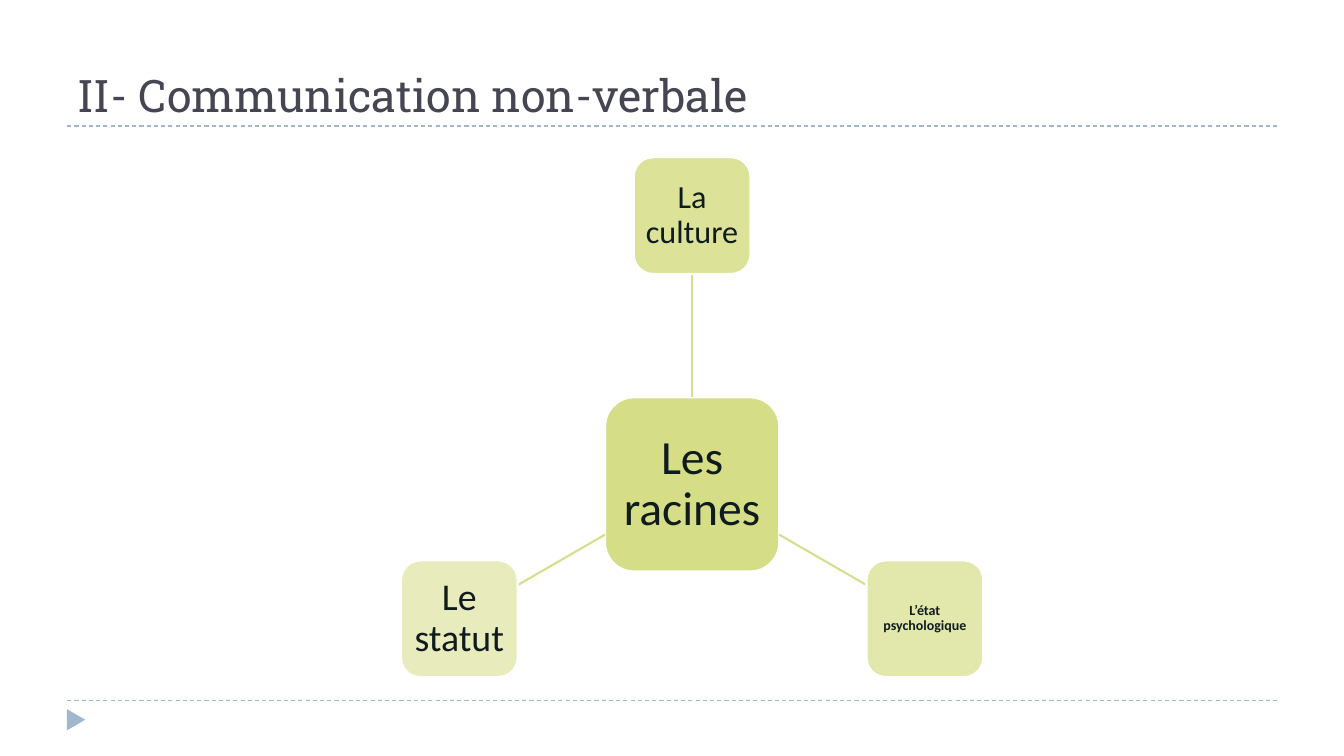
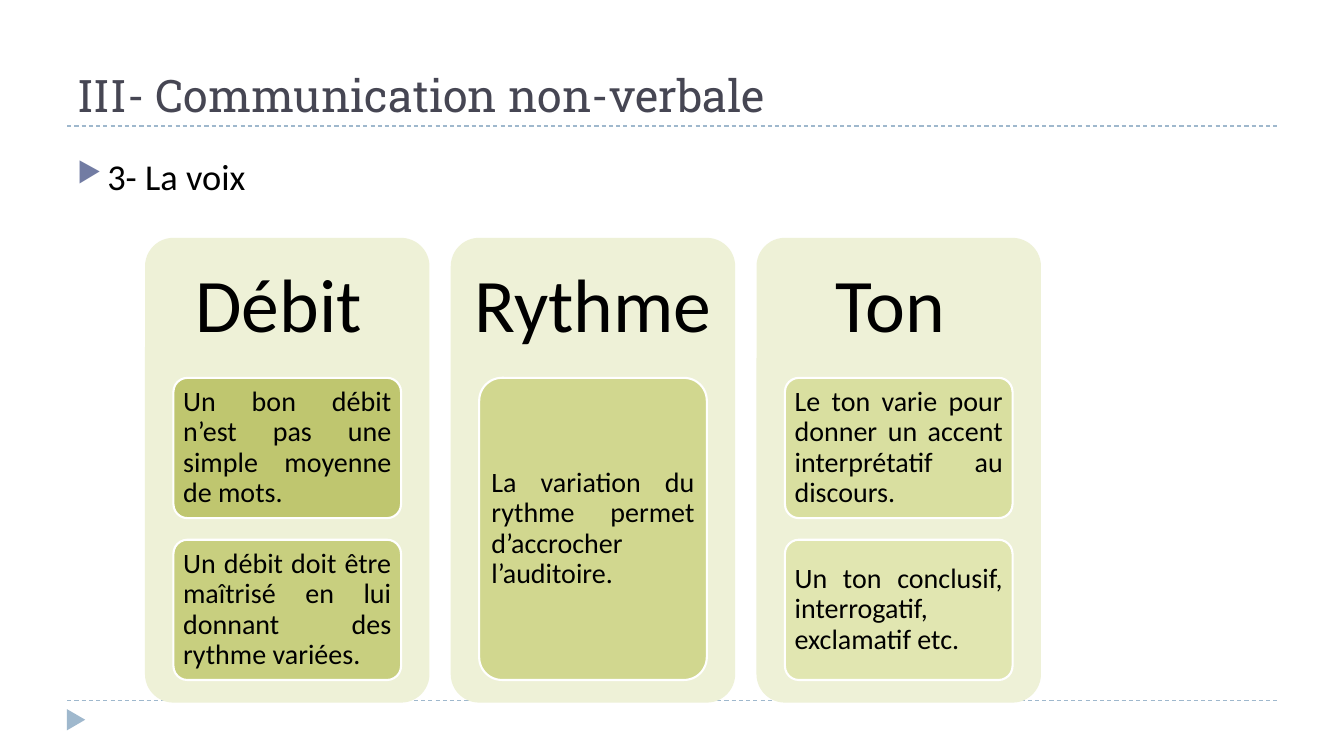
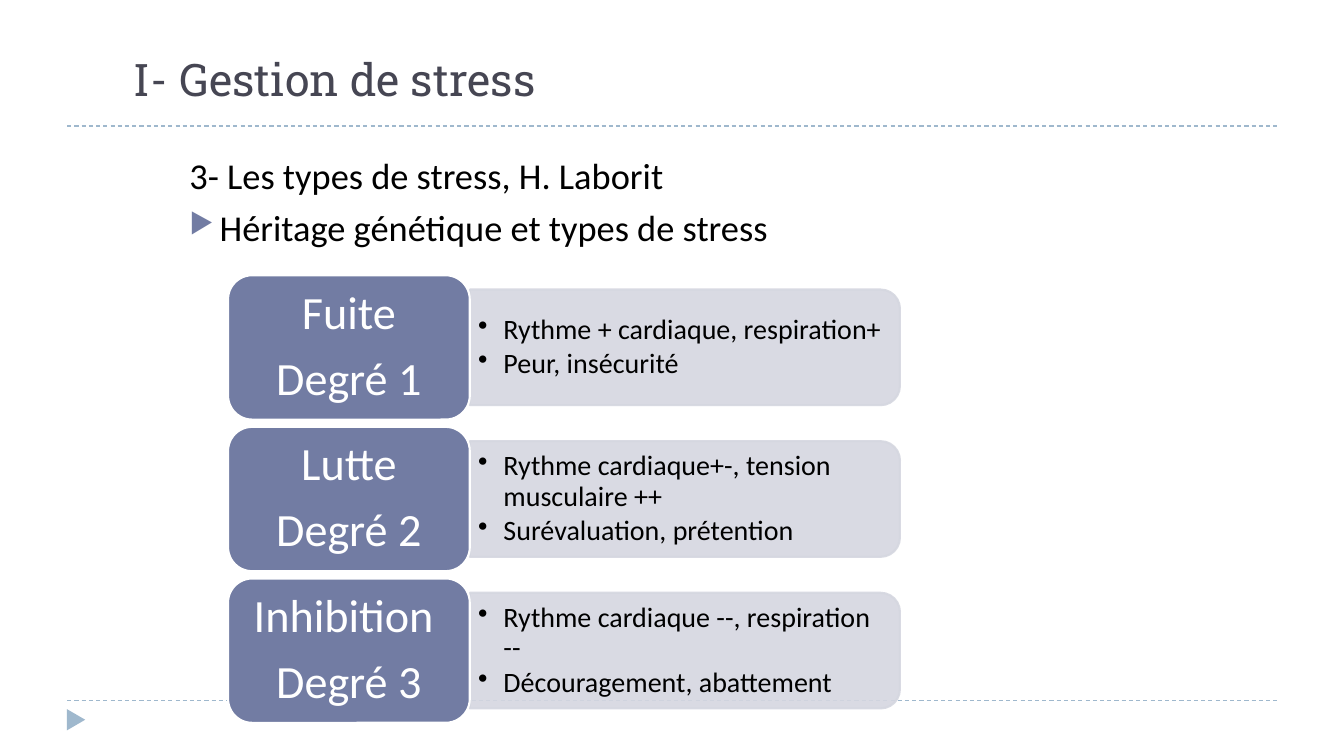
"""Build three slides on non-verbal communication and stress management."""
from dataclasses import dataclass, replace
from math import cos, radians, sin
from typing import NamedTuple, Optional

from lxml import etree
from pptx import Presentation
from pptx.dml.color import RGBColor
from pptx.enum.dml import MSO_LINE
from pptx.enum.shapes import MSO_CONNECTOR, MSO_SHAPE
from pptx.enum.text import MSO_ANCHOR, PP_ALIGN
from pptx.oxml.ns import qn
from pptx.util import Pt

ROUND = MSO_SHAPE.ROUNDED_RECTANGLE
ROUND_TOP = MSO_SHAPE.ROUND_2_SAME_RECTANGLE
TRIANGLE = MSO_SHAPE.ISOSCELES_TRIANGLE
STRAIGHT = MSO_CONNECTOR.STRAIGHT
DASH = MSO_LINE.DASH
TOP, MIDDLE, BOTTOM = MSO_ANCHOR.TOP, MSO_ANCHOR.MIDDLE, MSO_ANCHOR.BOTTOM
LEFT, CENTER, JUSTIFY = PP_ALIGN.LEFT, PP_ALIGN.CENTER, PP_ALIGN.JUSTIFY
TOP_SITE, BOTTOM_SITE = 0, 2


@dataclass(frozen=True)
class Theme:
    title_font: str = "Roboto Slab"
    body_font: str = "Calibri"
    title: str = "464653"
    rule: str = "9FB8CD"
    accent: str = "727CA3"
    detail: str = "D5D7E0"
    node: str = "D2DA7A"
    node_text: str = "101B1D"
    spoke: str = "D7DE8F"
    card: str = "EEF1D7"
    black: str = "000000"
    white: str = "FFFFFF"
    title_size: float = 32
    body_size: float = 26
    header_size: float = 54
    panel_size: float = 20
    tag_size: float = 33
    outline: float = 1.5


THEME = Theme()


class Box(NamedTuple):
    left: float
    top: float
    width: float
    height: float


@dataclass(frozen=True)
class Bullet:
    char: str
    indent: float
    colour: Optional[str] = None
    percent: Optional[int] = None


@dataclass(frozen=True)
class Style:
    size: float
    colour: str = THEME.black
    font: str = THEME.body_font
    align: PP_ALIGN = LEFT
    anchor: MSO_ANCHOR = MIDDLE
    bold: bool = False
    spacing: float = 0.9
    gap: float = 0
    inset_x: float = 7.2
    inset_y: float = 3.6
    bullet: Optional[Bullet] = None


TITLE = Style(THEME.title_size, THEME.title, THEME.title_font, anchor=BOTTOM, spacing=1)
BODY = Style(THEME.body_size, anchor=TOP, spacing=1, gap=6,
             bullet=Bullet("▶", 21.6, THEME.accent, 76))
HEADER = Style(THEME.header_size, align=CENTER, inset_x=16, inset_y=16)
PANEL = Style(THEME.panel_size, align=JUSTIFY, inset_x=4, inset_y=3)
TAG = Style(THEME.tag_size, THEME.white, align=CENTER, gap=11.5, inset_x=10, inset_y=5)
DETAIL = Style(THEME.panel_size, gap=3, inset_x=6, inset_y=3, bullet=Bullet("•", 18))


class Node(NamedTuple):
    text: str
    size: float
    alpha: int
    angle: float = 0
    bold: bool = False


class Panel(NamedTuple):
    text: str
    colour: str


class Card(NamedTuple):
    header: str
    panels: list[Panel]


class Degree(NamedTuple):
    tag: list[str]
    details: list[str]


HUB = Node("Les racines", 34, 90)
NODES = [
    Node("La culture", 23, 77, -90),
    Node("L’état psychologique", 10, 63, 30, True),
    Node("Le statut", 27, 50, 150),
]
CARDS = [
    Card("Débit ", [
        Panel("Un bon débit n’est pas une simple moyenne de mots.", "BFC66F"),
        Panel("Un débit doit être maîtrisé en lui donnant des rythme variées.", "C8CF7F"),
    ]),
    Card("Rythme ", [
        Panel("La variation du rythme permet d’accrocher l’auditoire.", "D1D78F"),
    ]),
    Card("Ton ", [
        Panel("Le ton varie pour donner un accent interprétatif au discours.", "D9DFA0"),
        Panel("Un ton conclusif, interrogatif, exclamatif etc.", "E1E6B1"),
    ]),
]
DEGREES = [
    Degree(["Fuite", "Degré 1"],
           ["Rythme + cardiaque, respiration+", "Peur, insécurité"]),
    Degree(["Lutte", "Degré 2"],
           ["Rythme cardiaque+-, tension musculaire ++", "Surévaluation, prétention"]),
    Degree(["Inhibition ", "Degré 3"],
           ["Rythme cardiaque --, respiration --", "Découragement, abattement"]),
]


def rgb(colour: str) -> RGBColor:
    return RGBColor.from_string(colour)


def add_bullet(p, bullet: Bullet) -> None:
    ppr = p._p.get_or_add_pPr()
    ppr.set("marL", str(Pt(bullet.indent)))
    ppr.set("indent", str(-Pt(bullet.indent)))
    if bullet.colour:
        clr = etree.SubElement(ppr, qn("a:buClr"))
        etree.SubElement(clr, qn("a:srgbClr"), val=bullet.colour)
    if bullet.percent:
        etree.SubElement(ppr, qn("a:buSzPct"), val=str(bullet.percent * 1000))
    etree.SubElement(ppr, qn("a:buChar"), char=bullet.char)


def write(sp, lines: list[str], style: Style, first_bullet: int = 0) -> None:
    tf = sp.text_frame
    tf.word_wrap = True
    tf.vertical_anchor = style.anchor
    tf.margin_left = tf.margin_right = Pt(style.inset_x)
    tf.margin_top = tf.margin_bottom = Pt(style.inset_y)
    tf.text = "\n".join(lines)
    for i, p in enumerate(tf.paragraphs):
        if style.bullet and i >= first_bullet:
            add_bullet(p, style.bullet)
        p.alignment = style.align
        p.line_spacing = style.spacing
        if i:
            p.space_before = Pt(style.gap)
        for r in p.runs:
            r.font.name = style.font
            r.font.size = Pt(style.size)
            r.font.bold = style.bold
            r.font.color.rgb = rgb(style.colour)


def add_text(s, box: Box, lines: list[str], style: Style, first_bullet: int = 0) -> None:
    write(s.shapes.add_textbox(*map(Pt, box)), lines, style, first_bullet)


def add_block(s, kind: MSO_SHAPE, box: Box, fill: str, line: Optional[str] = None,
              corner: Optional[float] = None):
    sp = s.shapes.add_shape(kind, *map(Pt, box))
    sp.shadow.inherit = False
    sp.fill.solid()
    sp.fill.fore_color.rgb = rgb(fill)
    if line:
        sp.line.color.rgb = rgb(line)
        sp.line.width = Pt(THEME.outline)
    else:
        sp.line.fill.background()
    if corner is not None:
        sp.adjustments[0] = corner
    return sp


def set_alpha(sp, percent: int, parent: str = "") -> None:
    clr = sp._element.spPr.find(f"{parent}{qn('a:solidFill')}/{qn('a:srgbClr')}")
    etree.SubElement(clr, qn("a:alpha"), val=str(percent * 1000))


def add_line(s, x1: float, y1: float, x2: float, y2: float, colour: str, width: float):
    cxn = s.shapes.add_connector(STRAIGHT, Pt(x1), Pt(y1), Pt(x2), Pt(y2))
    cxn.line.color.rgb = rgb(colour)
    cxn.line.width = Pt(width)
    etree.SubElement(cxn._element.spPr, qn("a:effectLst"))
    return cxn


def add_slide(prs, title: str, title_box: Box = Box(48, 12, 864, 78)):
    s = prs.slides.add_slide(prs.slide_layouts[6])
    for y in (500.4, 90):
        add_line(s, 48, y, 912, y, THEME.rule, 0.75).line.dash_style = DASH
    add_block(s, TRIANGLE, Box(46.8, 507.6, 15.1, 13), THEME.rule).rotation = 90
    add_text(s, title_box, [title], TITLE)
    return s


def add_node(s, node: Node, x: float, y: float, side: float):
    sp = add_block(s, ROUND, Box(x - side / 2, y - side / 2, side, side),
                   THEME.node, THEME.white)
    set_alpha(sp, node.alpha)
    inset = node.size * 0.18
    write(sp, [node.text], Style(node.size, THEME.node_text, align=CENTER, bold=node.bold,
                                 inset_x=inset, inset_y=inset))
    return sp


def build_roots(prs) -> None:
    s = add_slide(prs, "II- Communication non-verbale")
    x, y, radius, hub_side, side = 494.4, 346, 192, 124.4, 83.4
    hub = add_node(s, HUB, x, y, hub_side)
    for node in NODES:
        dx, dy = cos(radians(node.angle)), sin(radians(node.angle))
        reach = max(abs(dx), abs(dy))
        start = hub_side / 2 / reach
        end = radius - side / 2 / reach
        spoke = add_line(s, x + start * dx, y + start * dy, x + end * dx, y + end * dy,
                         THEME.spoke, THEME.outline)
        sp = add_node(s, node, x + radius * dx, y + radius * dy, side)
        if node.angle == -90:
            spoke.begin_connect(hub, TOP_SITE)
            spoke.end_connect(sp, BOTTOM_SITE)


def build_voice(prs) -> None:
    s = add_slide(prs, "III- Communication non-verbale")
    add_text(s, Box(48, 106.6, 792, 275), ["3- La voix"], BODY)
    top, width, header_height, pad = 169.9, 203.2, 99.6, 20.3
    panels_top, panels_height, gap = 269.9, 215.8, 15.4
    for i, card in enumerate(CARDS):
        left = 103.6 + i * 218.4
        add_block(s, ROUND, Box(left, top, width, 332), THEME.card, corner=0.1)
        add_text(s, Box(left, top, width, header_height), [card.header], HEADER)
        count = len(card.panels)
        height = (panels_height - gap * (count - 1)) / count
        for j, panel in enumerate(card.panels):
            box = Box(left + pad, panels_top + j * (height + gap), width - 2 * pad, height)
            sp = add_block(s, ROUND, box, panel.colour, THEME.white, 0.1)
            write(sp, [panel.text], PANEL)


def build_stress(prs) -> None:
    s = add_slide(prs, "I- Gestion de stress", Box(88.6, 0.7, 648, 78))
    add_text(s, Box(128.2, 105.8, 648, 384),
             ["3- Les types de stress, H. Laborit", "Héritage génétique et types de stress"],
             replace(BODY), first_bullet=1)
    left, tag_width, tag_height, pitch = 162.9, 172.7, 103.1, 108.3
    length, depth, text_height = 307.2, 82.6, 74
    edge = left + tag_width
    for i, degree in enumerate(DEGREES):
        top = 196.6 + i * pitch
        mid = top + tag_height / 2
        box = Box(edge + (length - depth) / 2, mid - length / 2, depth, length)
        sp = add_block(s, ROUND_TOP, box, THEME.detail, THEME.detail)
        sp.rotation = 90
        set_alpha(sp, 90)
        set_alpha(sp, 90, f"{qn('a:ln')}/")
        add_text(s, Box(edge, mid - text_height / 2, 303.1, text_height),
                 degree.details, DETAIL)
        tag = add_block(s, ROUND, Box(left, top, tag_width, tag_height),
                        THEME.accent, THEME.white)
        write(tag, degree.tag, TAG)


def main() -> None:
    prs = Presentation()
    prs.slide_width, prs.slide_height = Pt(960), Pt(540)
    build_roots(prs)
    build_voice(prs)
    build_stress(prs)
    prs.save("out.pptx")


if __name__ == "__main__":
    main()
